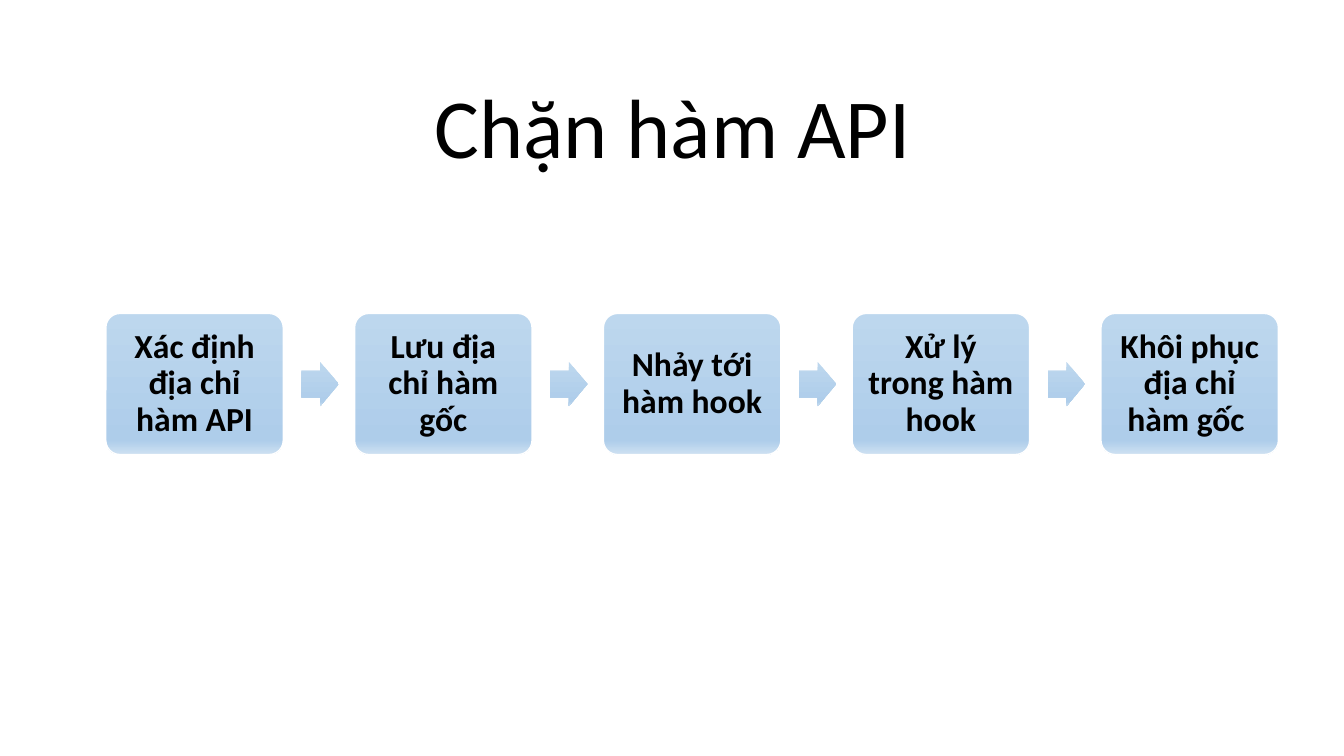
"""Builds the API hooking slide: a title above a five-step process."""
from copy import deepcopy

from pptx import Presentation
from pptx.dml.color import RGBColor
from pptx.enum.shapes import MSO_SHAPE as Shape
from pptx.enum.text import MSO_ANCHOR as Anchor, MSO_AUTO_SIZE as AutoSize, PP_ALIGN as Align
from pptx.oxml.ns import qn
from pptx.util import Inches, Pt

COLORS = {"text": "000000", "border": "FFFFFF",
          "top": "BDD7EE", "lower": "AECDEA", "edge": "CEE1F2"}
STEPS = ["Xác định địa chỉ hàm API", "Lưu địa chỉ hàm gốc", "Nhảy tới hàm hook",
         "Xử lý trong hàm hook", "Khôi phục địa chỉ hàm gốc "]


def color(name):
    return RGBColor.from_string(COLORS[name])


def write(shape, text, size, bold=False, anchor=Anchor.MIDDLE, inset=0.1):
    frame = shape.text_frame
    frame.word_wrap = True
    frame.auto_size = AutoSize.NONE
    frame.vertical_anchor = anchor
    frame.margin_left = frame.margin_right = Inches(inset)
    frame.margin_top = frame.margin_bottom = Inches(min(inset, 0.1))
    frame.text = text
    paragraph = frame.paragraphs[0]
    paragraph.alignment = Align.CENTER
    paragraph.line_spacing = 0.9
    font = paragraph.runs[0].font
    font.name, font.size, font.bold = "Calibri", Pt(size), bold
    font.color.rgb = color("text")


class ProcessSlide:
    gradient = [("top", 0), ("lower", 0.9), ("edge", 1)]

    def __init__(self, deck):
        self.slide = deck.slides.add_slide(deck.slide_layouts[5])

    def title(self, text, left, top, width, height):
        heading = self.slide.shapes.title
        heading.left, heading.top = Inches(left), Inches(top)
        heading.width, heading.height = Inches(width), Inches(height)
        write(heading, text, 60, anchor=Anchor.BOTTOM)

    def block(self, kind, left, top, width, height, adjustments):
        block = self.slide.shapes.add_shape(
            kind, Inches(left), Inches(top), Inches(width), Inches(height))
        for index, value in enumerate(adjustments):
            block.adjustments[index] = value
        block.shadow.inherit = False
        block.line.fill.background()
        block.fill.gradient()
        block.fill.gradient_angle = 270
        stops = block._element.spPr.find(".//" + qn("a:gsLst"))
        stops.append(deepcopy(stops[-1]))
        for stop, (name, position) in zip(block.fill.gradient_stops, self.gradient):
            stop.color.rgb = color(name)
            stop.position = position
        return block

    def step(self, text, left, top, width, height):
        box = self.block(Shape.ROUNDED_RECTANGLE, left, top, width, height, [0.1])
        box.line.color.rgb = color("border")
        box.line.width = Pt(1)
        write(box, text, 24, bold=True)

    def arrow(self, left, top, width, height):
        self.block(Shape.RIGHT_ARROW, left, top, width, height, [0.6, 0.5])


deck = Presentation()
deck.slide_width, deck.slide_height = Inches(13.33), Inches(7.5)
hooking = ProcessSlide(deck)
hooking.title("Chặn hàm API", 0.92, 0.4, 11.5, 1.45)

first_left, last_left = 1.05, 10.92
step_top, step_width, step_height = 3.11, 1.76, 1.4
arrow_offset, arrow_width, arrow_height = 1.94, 0.37, 0.44
arrow_top = step_top + (step_height - arrow_height) / 2
pitch = (last_left - first_left) / (len(STEPS) - 1)

for number, label in enumerate(STEPS):
    left = first_left + number * pitch
    hooking.step(label, left, step_top, step_width, step_height)
    if number < len(STEPS) - 1:
        hooking.arrow(left + arrow_offset, arrow_top, arrow_width, arrow_height)

deck.save("out.pptx")
